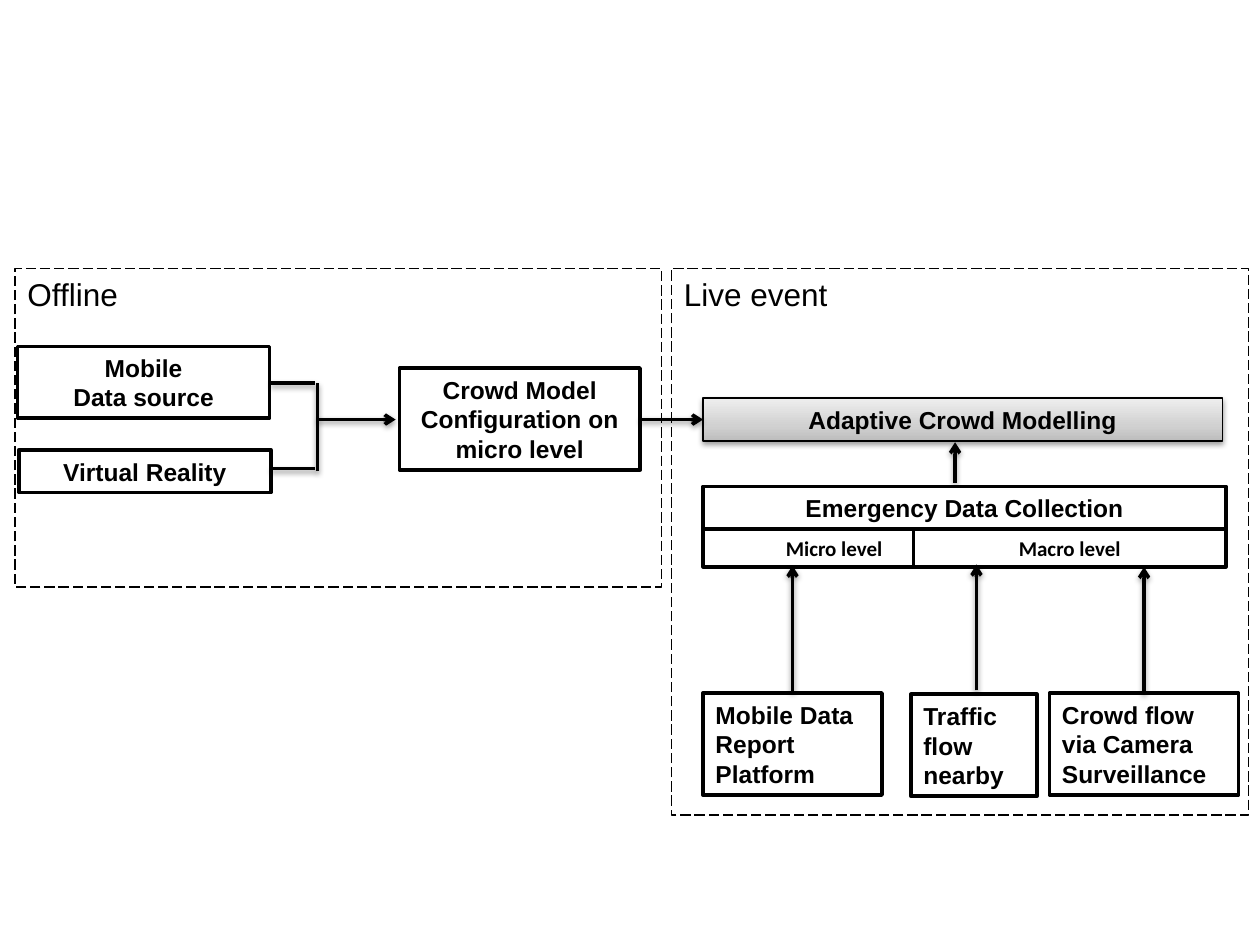
"""Builds a slide of the offline and live-event stages of adaptive crowd modelling."""
from copy import deepcopy

from lxml import etree
from pptx import Presentation
from pptx.dml.color import RGBColor
from pptx.enum.dml import MSO_LINE
from pptx.enum.shapes import MSO_CONNECTOR, MSO_SHAPE
from pptx.enum.text import MSO_ANCHOR, PP_ALIGN
from pptx.oxml import parse_xml
from pptx.oxml.ns import nsdecls, qn
from pptx.util import Inches, Pt

BLACK = RGBColor(0x00, 0x00, 0x00)
WHITE = RGBColor(0xFF, 0xFF, 0xFF)
SILVER_STOPS = (
    (0, RGBColor(0xBD, 0xBD, 0xBD)),
    (0.35, RGBColor(0xD1, 0xD1, 0xD1)),
    (1, RGBColor(0xEE, 0xEE, 0xEE)),
)
RECTANGLE = MSO_SHAPE.RECTANGLE
STRAIGHT = MSO_CONNECTOR.STRAIGHT
LONG_DASH = MSO_LINE.LONG_DASH
LEFT, CENTER = PP_ALIGN.LEFT, PP_ALIGN.CENTER
TOP, MIDDLE = MSO_ANCHOR.TOP, MSO_ANCHOR.MIDDLE
COLUMNS, ROWS = 100, 75
SHADOW = (
    f'<a:effectLst {nsdecls("a")}><a:outerShdw blurRad="40000" dist="20000" '
    'dir="5400000" rotWithShape="0"><a:srgbClr val="000000">'
    '<a:alpha val="38000"/></a:srgbClr></a:outerShdw></a:effectLst>'
)


def write_text(shape, text, size=14, font="Arial", bold=True, align=CENTER, anchor=MIDDLE):
    frame = shape.text_frame
    frame.word_wrap = True
    frame.vertical_anchor = anchor
    frame.text = text
    for paragraph in frame.paragraphs:
        paragraph.alignment = align
        paragraph.font.size = Pt(size)
        paragraph.font.name = font
        paragraph.font.bold = bold
        paragraph.font.color.rgb = BLACK


class Diagram:
    def __init__(self, deck):
        self.slide = deck.slides.add_slide(deck.slide_layouts[6])
        self.column = deck.slide_width / COLUMNS
        self.row = deck.slide_height / ROWS

    def place(self, across, down):
        return round(across * self.column), round(down * self.row)

    def outline(self, area, weight):
        shape = self.slide.shapes.add_shape(
            RECTANGLE, *self.place(*area[:2]), *self.place(*area[2:]))
        shape.shadow.inherit = False
        shape.line.color.rgb = BLACK
        shape.line.width = Pt(weight)
        return shape

    def stage(self, title, area):
        border = self.outline(area, 0.75)
        border.fill.background()
        border.line.dash_style = LONG_DASH
        write_text(border, title, size=18, bold=False, align=LEFT, anchor=TOP)

    def box(self, text, area, **text_format):
        step = self.outline(area, 2)
        step.fill.solid()
        step.fill.fore_color.rgb = WHITE
        write_text(step, text, **text_format)

    def result(self, text, area):
        bar = self.outline(area, 0.75)
        bar.fill.gradient()
        bar.fill.gradient_angle = 90
        stop_list = bar.element.spPr.find(".//" + qn("a:gsLst"))
        stop_list.insert(1, deepcopy(stop_list[0]))
        for stop, (position, colour) in zip(bar.fill.gradient_stops, SILVER_STOPS):
            stop.position = position
            stop.color.rgb = colour
        properties = bar.element.spPr
        properties.replace(properties.find(qn("a:effectLst")), parse_xml(SHADOW))
        write_text(bar, text)

    def link(self, start, end, arrow=True):
        flow = self.slide.shapes.add_connector(STRAIGHT, *self.place(*start), *self.place(*end))
        flow.line.color.rgb = BLACK
        flow.line.width = Pt(2)
        if arrow:
            etree.SubElement(flow.line._get_or_add_ln(), qn("a:tailEnd"), type="arrow")
        flow._element.spPr.append(parse_xml(SHADOW))


def main():
    deck = Presentation()
    deck.slide_width, deck.slide_height = Inches(10), Inches(7.5)
    diagram = Diagram(deck)

    diagram.stage("Offline", (1.2, 21.3, 51.3, 25.3))
    diagram.stage("Live event", (53.3, 21.3, 45.8, 43.4))

    diagram.box("Mobile\nData source", (1.4, 27.5, 20, 5.7))
    diagram.box("Virtual Reality", (1.5, 35.7, 20, 3.4))
    diagram.box("Crowd Model Configuration on micro level", (31.7, 29.2, 19.1, 8.1))
    diagram.result("Adaptive Crowd Modelling", (55.8, 31.6, 41.2, 3.4))

    for source_row in (30.4, 37.2):
        diagram.link((21.5, source_row), (25, source_row), arrow=False)
    diagram.link((25.2, 30.4), (25.2, 37.4), arrow=False)
    diagram.link((25.2, 33.3), (31.4, 33.3))
    diagram.link((50.8, 33.3), (55.8, 33.3))
    diagram.link((75.8, 38.3), (75.8, 35.1))

    diagram.box("Emergency Data Collection", (55.8, 38.6, 41.5, 3.4))
    for level, left, width in (("Micro level", 55.8, 20.8), ("Macro level", 72.5, 24.8)):
        diagram.box(level, (left, 42, width, 3), size=12, font="Calibri")

    feeds = (
        ("Mobile Data Report Platform", 55.8, 55, 14.2, 62.9, 54.9),
        ("Traffic flow nearby", 72.3, 55.1, 10, 77.5, 54.8),
        ("Crowd flow via Camera Surveillance", 83.3, 55, 15, 90.8, 55),
    )
    for feed, left, top, width, arrow_column, arrow_row in feeds:
        diagram.box(feed, (left, top, width, 8.1), align=LEFT)
        diagram.link((arrow_column, arrow_row), (arrow_column, arrow_row - 10))

    deck.save("out.pptx")


if __name__ == "__main__":
    main()
